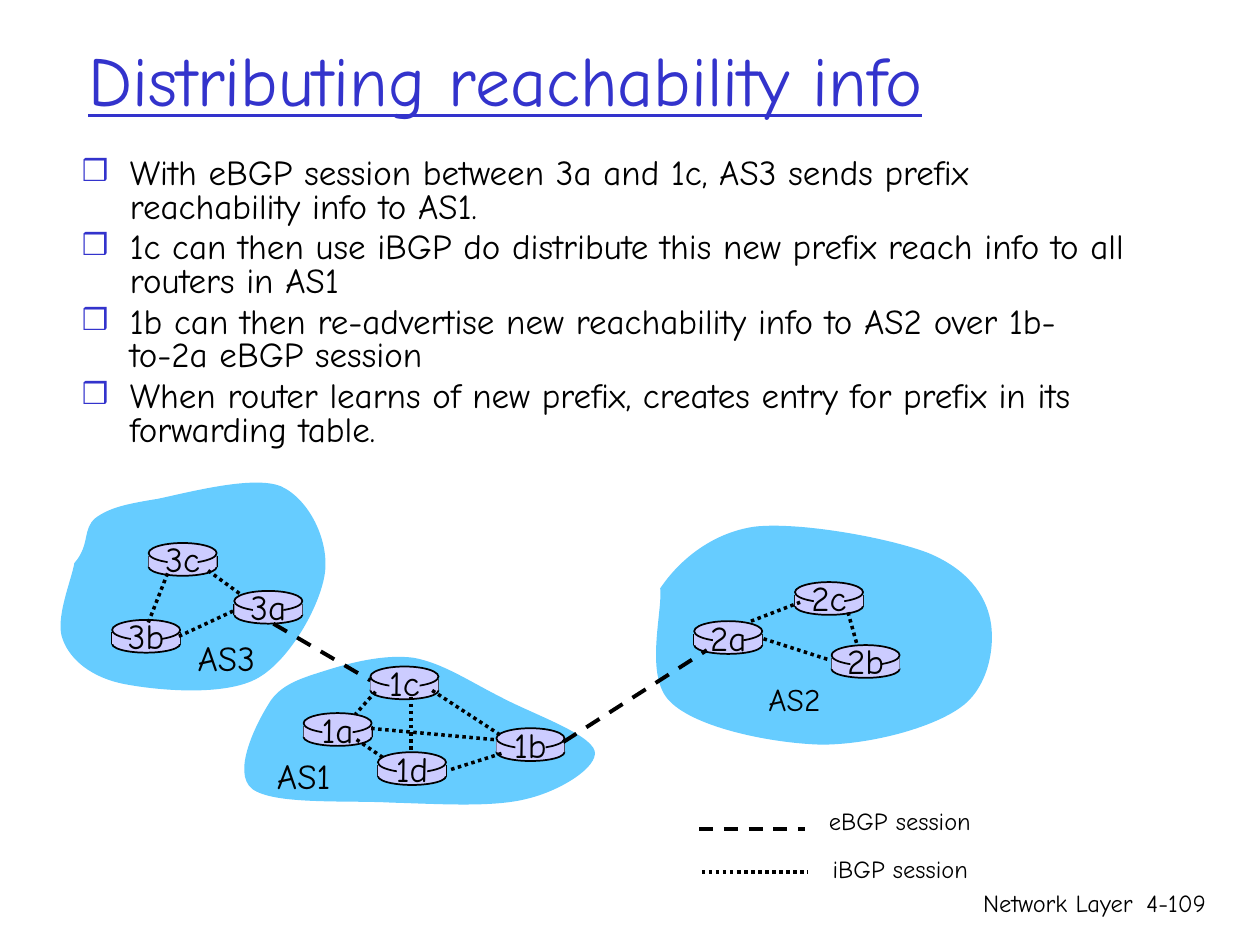
from collections import namedtuple
from dataclasses import dataclass

from lxml.etree import SubElement
from pptx import Presentation
from pptx.dml.color import RGBColor
from pptx.enum.dml import MSO_LINE
from pptx.enum.shapes import MSO_CONNECTOR, MSO_SHAPE
from pptx.enum.text import MSO_ANCHOR, MSO_AUTO_SIZE, PP_ALIGN
from pptx.oxml.ns import qn
from pptx.util import Inches, Pt

Box = namedtuple("Box", "left top width height")


@dataclass(frozen=True)
class Theme:
    font: str = "Comic Neue"
    ink: RGBColor = RGBColor(0, 0, 0)
    accent: RGBColor = RGBColor(0x33, 0x33, 0xCC)
    cloud: RGBColor = RGBColor(0x66, 0xCC, 0xFF)
    router: RGBColor = RGBColor(0xCC, 0xCC, 0xFF)
    title_size: int = 40
    text_size: int = 20
    small_label_size: int = 18
    note_size: int = 14


THEME = Theme()
EBGP, IBGP = MSO_LINE.DASH, MSO_LINE.ROUND_DOT

BULLETS = (
    "With eBGP session between 3a and 1c, AS3 sends prefix reachability info to AS1.",
    "1c can then use iBGP do distribute this new prefix reach info to all routers in AS1",
    "1b can then re-advertise new reachability info to AS2 over 1b-to-2a eBGP session",
    "When router learns of new prefix, creates entry for prefix in its forwarding table.",
)

# Positions inside a system are offsets from the corner of its box.
# An outline is a start point, then two control points and an end per curve.
SYSTEMS = (
    dict(
        box=Box(0.43, 3.77, 2.18, 1.76), name="AS3", name_at=(1.04, 1.23),
        name_size=THEME.text_size,
        outline=[(0.16, 0.7), (0.29, 0.55), (0.22, 0.43), (0.33, 0.34),
                 (0.44, 0.26), (0.57, 0.23), (0.82, 0.19),
                 (1.06, 0.14), (1.58, 0), (1.8, 0.09),
                 (2.02, 0.19), (2.18, 0.51), (2.15, 0.77),
                 (2.12, 1.02), (1.88, 1.46), (1.62, 1.61),
                 (1.36, 1.76), (0.82, 1.71), (0.56, 1.66),
                 (0.3, 1.61), (0.13, 1.47), (0.07, 1.31),
                 (0, 1.15), (0.14, 0.83), (0.16, 0.7)],
        routers={"3b": (0.46, 1.15), "3a": (1.43, 0.92), "3c": (0.75, 0.54)},
        links=[(1.47, 0.94, 1.21, 0.75), (0.9, 0.78, 0.74, 1.19),
               (0.99, 1.28, 1.42, 1.08)],
    ),
    dict(
        box=Box(1.84, 5.19, 2.91, 1.23), name="AS1", name_at=(0.26, 0.75),
        name_size=THEME.text_size,
        outline=[(0.29, 0.4), (0.38, 0.24), (0.56, 0.19), (0.75, 0.13),
                 (0.94, 0.07), (1.21, 0), (1.44, 0.03),
                 (1.67, 0.07), (1.89, 0.22), (2.13, 0.34),
                 (2.37, 0.47), (2.84, 0.63), (2.88, 0.77),
                 (2.91, 0.9), (2.6, 1.09), (2.34, 1.15),
                 (2.07, 1.22), (1.63, 1.19), (1.27, 1.18),
                 (0.91, 1.16), (0.33, 1.2), (0.16, 1.07),
                 (0, 0.94), (0.19, 0.56), (0.29, 0.4)],
        routers={"1d": (1.16, 0.78), "1c": (1.1, 0.1),
                 "1a": (0.57, 0.47), "1b": (2.1, 0.59)},
        links=[(1.14, 0.3, 0.98, 0.48), (1.42, 0.34, 1.42, 0.77),
               (1.59, 0.29, 2.14, 0.65), (2.14, 0.79, 1.73, 0.92),
               (2.08, 0.68, 1.09, 0.59), (0.99, 0.68, 1.21, 0.83)],
    ),
    dict(
        box=Box(5.11, 4.14, 2.8, 1.78), name="AS2", name_at=(0.89, 1.21),
        name_size=THEME.small_label_size,
        outline=[(0.13, 0.53), (0.27, 0.32), (0.53, 0.09), (0.88, 0.04),
                 (1.24, 0), (1.95, 0.13), (2.26, 0.25),
                 (2.57, 0.38), (2.71, 0.58), (2.75, 0.78),
                 (2.79, 0.98), (2.74, 1.31), (2.52, 1.47),
                 (2.29, 1.64), (1.79, 1.77), (1.41, 1.77),
                 (1.02, 1.76), (0.42, 1.64), (0.21, 1.43),
                 (0, 1.23), (0.15, 0.72), (0.13, 0.53)],
        routers={"2a": (0.4, 0.79), "2c": (1.2, 0.48), "2b": (1.49, 0.98)},
        links=[(0.95, 0.93, 1.48, 1.1), (0.85, 0.79, 1.24, 0.64),
               (1.62, 0.72, 1.69, 0.97)],
    ),
)
EBGP_SESSIONS = ((2.17, 4.95, 2.94, 5.4), (4.47, 5.89, 5.61, 5.16))


def apply_format(target, values):
    for name, value in values.items():
        setattr(target, name, value)


def place(shape, box):
    apply_format(shape, {side: Inches(v) for side, v in box._asdict().items()})


def write(para, text, size, color=THEME.ink, **extra):
    span = para.add_run()
    span.text = text
    apply_format(span.font, dict(name=THEME.font, size=Pt(size), **extra))
    span.font.color.rgb = color


def add_label(page, box, text, size, align=PP_ALIGN.LEFT, wrap=False):
    label = page.shapes.add_textbox(*map(Inches, box))
    fit = MSO_AUTO_SIZE.NONE if wrap else MSO_AUTO_SIZE.SHAPE_TO_FIT_TEXT
    apply_format(label.text_frame, dict(word_wrap=wrap, auto_size=fit))
    para = label.text_frame.paragraphs[0]
    para.alignment = align
    write(para, text, size)


def add_line(page, ends, width, dash=None):
    line = page.shapes.add_connector(MSO_CONNECTOR.STRAIGHT, *map(Inches, ends))
    line.line.color.rgb = THEME.ink
    apply_format(line.line, dict(width=Pt(width), dash_style=dash))
    SubElement(line._element.spPr, qn("a:effectLst"))


def paint(shape, color, outlined=False):
    shape.shadow.inherit = False
    shape.fill.solid()
    shape.fill.fore_color.rgb = color
    if outlined:
        shape.line.color.rgb = THEME.ink
        shape.line.width = Pt(1)
    else:
        shape.line.fill.background()


def add_title(page, box):
    title = page.shapes.title
    place(title, box)
    title.text_frame.vertical_anchor = MSO_ANCHOR.MIDDLE
    para = title.text_frame.paragraphs[0]
    para.alignment = PP_ALIGN.LEFT
    write(para, "Distributing reachability info", THEME.title_size, THEME.accent, underline=True)


def add_bullet(para):
    props = para._p.get_or_add_pPr()
    props.set("marL", str(Inches(0.38)))
    props.set("indent", str(-Inches(0.38)))
    SubElement(SubElement(props, qn("a:buClr")), qn("a:srgbClr"), val=str(THEME.accent))
    SubElement(props, qn("a:buSzPct"), val="85000")
    SubElement(props, qn("a:buChar"), char="❒")


def add_bullets(page, box):
    body = page.placeholders[1]
    place(body, box)
    frame = body.text_frame
    frame.auto_size = MSO_AUTO_SIZE.NONE
    for index, text in enumerate(BULLETS):
        para = frame.add_paragraph() if index else frame.paragraphs[0]
        add_bullet(para)
        apply_format(para, dict(line_spacing=0.8, space_before=Pt(4 if index else 0)))
        write(para, text, THEME.text_size)


def bend_segments(shape):
    """Turn each three straight segments of a freeform into one cubic curve."""
    segments = list(shape._element.iter(qn("a:lnTo")))
    for first in range(0, len(segments), 3):
        curve = segments[first]
        curve.tag = qn("a:cubicBezTo")
        for segment in segments[first + 1:first + 3]:
            curve.append(segment[0])
            segment.getparent().remove(segment)


def add_cloud(page, box, outline):
    points = [(Inches(box.left + x), Inches(box.top + y)) for x, y in outline]
    builder = page.shapes.build_freeform(*points[0])
    builder.add_line_segments(points[1:], close=True)
    cloud = builder.convert_to_shape()
    bend_segments(cloud)
    paint(cloud, THEME.cloud)


def add_router(page, box, name):
    def part(kind, dx, dy, width, height, outlined=False):
        shape = page.shapes.add_shape(
            kind, *map(Inches, (box.left + dx, box.top + dy, width, height)))
        paint(shape, THEME.router, outlined)

    part(MSO_SHAPE.OVAL, 0, 0.12, box.width, 0.14, True)
    for x in (box.left, box.left + box.width):
        add_line(page, (x, box.top + 0.1, x, box.top + 0.19), 1)
    part(MSO_SHAPE.RECTANGLE, 0, 0.1, box.width, 0.09)
    part(MSO_SHAPE.OVAL, 0, 0, box.width, 0.16, True)
    part(MSO_SHAPE.RECTANGLE, 0.15, 0.02, 0.24, 0.21)
    add_label(page, Box(box.left + 0.02, box.top - 0.09, box.width - 0.04, 0.43), name,
              THEME.text_size, PP_ALIGN.CENTER)


def add_system(page, box, name, name_at, name_size, outline, routers, links):
    add_cloud(page, box, outline)
    for router, (x, y) in routers.items():
        add_router(page, Box(box.left + x, box.top + y, 0.54, 0.26), router)
    for x1, y1, x2, y2 in links:
        add_line(page, (box.left + x1, box.top + y1, box.left + x2, box.top + y2), 2, IBGP)
    add_label(page, Box(box.left + name_at[0], box.top + name_at[1], 0.73, 0.43),
              name, name_size)


def add_legend(page, box):
    for text, dash, dx, line_y, text_x, text_y in (
            ("eBGP session", EBGP, 0, 0.23, 0.93, 0),
            ("iBGP session", IBGP, 0.02, 0.57, 0.96, 0.38)):
        x, y = box.left + dx, box.top + line_y
        add_line(page, (x, y, x + 0.84, y), 2, dash)
        add_label(page, Box(box.left + text_x, box.top + text_y, 1.35, 0.33),
                  text, THEME.note_size)


def add_footer(page, box):
    right = box.left + box.width
    for text, left, end in (("Network Layer", box.left, right - 0.58),
                            ("4-109", right - 0.74, right)):
        add_label(page, Box(left, box.top, end - left, box.height), text,
                  THEME.note_size, PP_ALIGN.RIGHT, wrap=True)


def main():
    deck = Presentation()
    apply_format(deck, dict(slide_width=Inches(10), slide_height=Inches(7.5)))
    page = deck.slides.add_slide(deck.slide_layouts[1])
    add_footer(page, Box(5.92, 7, 3.75, 0.5))
    add_title(page, Box(0.6, 0, 8.5, 1.25))
    add_bullets(page, Box(0.55, 1.21, 8.5, 2.59))
    for system in SYSTEMS:
        add_system(page, **system)
    for session in EBGP_SESSIONS:
        add_line(page, session, 2.25, EBGP)
    add_legend(page, Box(5.55, 6.35, 2.3, 0.71))
    deck.save("out.pptx")


if __name__ == "__main__":
    main()
